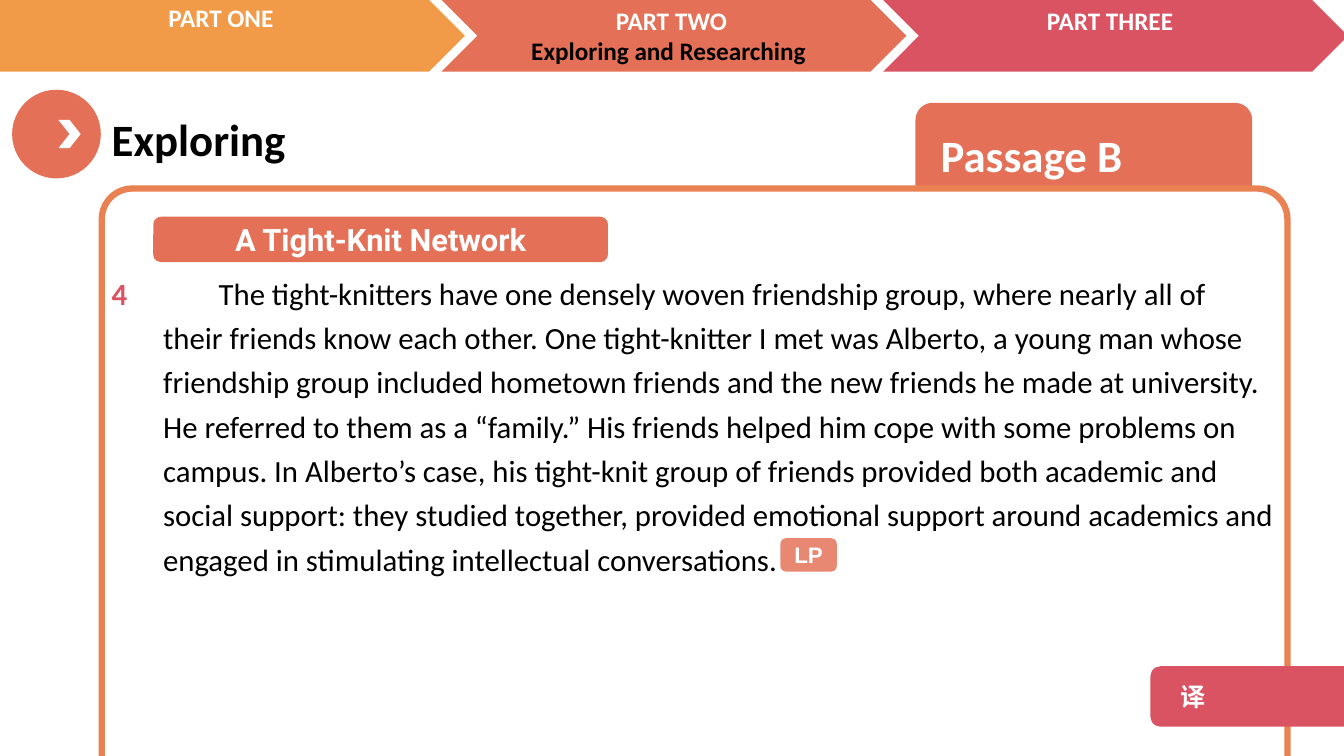
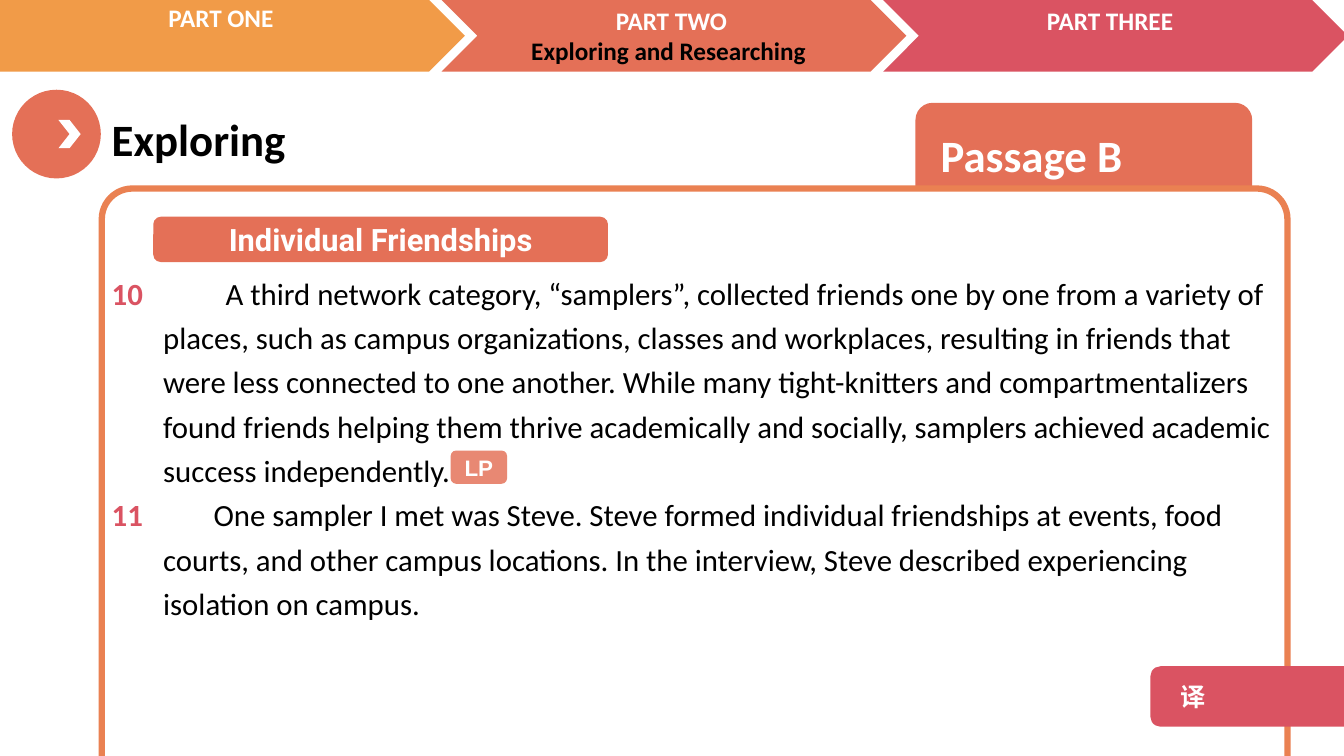
"""Build two reading-passage slides with a shared navigation band and frame."""
from lxml import etree
from pptx import Presentation, util as u
from pptx.dml.color import RGBColor
from pptx.enum import shapes, text
from pptx.oxml.ns import qn

COLORS = {"orange": "F19B48", "coral": "E47057", "rose": "DA5362",
          "frame": "EA8152", "white": "FFFFFF", "black": "000000"}
MSO = shapes.MSO_SHAPE
LEFT, CENTER = text.PP_ALIGN.LEFT, text.PP_ALIGN.CENTER
MIDDLE = text.MSO_ANCHOR.MIDDLE

NAV = {"size": 18, "align": CENTER}
HEADING = {"size": 32}
BODY = {"size": 22, "bold": False, "color": "black", "spacing": 1.2}
NUMBER = {"size": 22, "color": "rose", "spacing": 1.2}
BADGE = {"size": 22, "name": "Roboto", "align": CENTER}
TAG = {"size": 16, "name": "Arial", "align": CENTER}
TRANSLATE = {"size": 18, "name": "Noto Sans CJK SC"}

BODY_TOP, LINE_PITCH = 2.6, 0.44

PASSAGES = [
    {"title": "A Tight-Knit Network", "tag": (7.74, 5.34), "numbers": [("4", 0)],
     "paragraphs": [
         ("The tight-knitters have one densely woven friendship group, where nearly all of", 0.55),
         ("their friends know each other. One tight-knitter I met was Alberto, a young man whose "
          "friendship group included hometown friends and the new friends he made at university. "
          "He referred to them as a “family.” His friends helped him cope with some problems on "
          "campus. In Alberto’s case, his tight-knit group of friends provided both academic and "
          "social support: they studied together, provided emotional support around academics and "
          "engaged in stimulating intellectual conversations.", 0)]},
    {"title": "Individual Friendships", "tag": (4.47, 4.47), "numbers": [("10", 0), ("11", 5)],
     "paragraphs": [
         ("A third network category, “samplers”, collected friends one by one from a variety of "
          "places, such as campus organizations, classes and workplaces, resulting in friends that "
          "were less connected to one another. While many tight-knitters and compartmentalizers "
          "found friends helping them thrive academically and socially, samplers achieved academic "
          "success independently.", 0.62),
         ("One sampler I met was Steve. Steve formed individual friendships at events, food "
          "courts, and other campus locations. In the interview, Steve described experiencing "
          "isolation on campus.", 0.5)]},
]


def add_text(sp, paragraphs, style, inset=0.1):
    """Write (text, first-line indent, colour) paragraphs in one style."""
    fmt = {"name": "Calibri", "bold": True, "color": "white",
           "align": LEFT, "spacing": None, **style}
    tf = sp.text_frame
    tf.word_wrap = True
    tf.margin_left = u.Inches(inset)
    for i, (words, indent, color) in enumerate(paragraphs):
        p = tf.add_paragraph() if i else tf.paragraphs[0]
        p.alignment, p.line_spacing = fmt["align"], fmt["spacing"]
        if indent:
            p._p.get_or_add_pPr().set("indent", str(u.Inches(indent)))
        r = p.add_run()
        r.text = words
        for key in ("name", "bold"):
            setattr(r.font, key, fmt[key])
        r.font.size = u.Pt(fmt["size"])
        r.font.color.rgb = RGBColor.from_string(COLORS[color or fmt["color"]])
        etree.SubElement(r.font._element, qn("a:ea"), typeface=fmt["name"])


def add_shape(s, kind, box, fill):
    """Add a flat filled shape, or a text box when kind is None."""
    at = [u.Inches(v) for v in box]
    if kind is None:
        return s.shapes.add_textbox(*at)
    sp = s.shapes.add_shape(kind, *at)
    sp.shadow.inherit = False
    sp.fill.solid()
    sp.fill.fore_color.rgb = RGBColor.from_string(COLORS[fill])
    sp.line.fill.background()
    sp.text_frame.vertical_anchor = MIDDLE
    return sp


prs = Presentation()
prs.slide_width, prs.slide_height = u.Inches(13.33), u.Inches(7.5)

for passage in PASSAGES:
    s = prs.slides.add_slide(prs.slide_layouts[6])

    for kind, box, fill in [
            (MSO.CHEVRON, (4.38, 0, 4.61, 0.71), "coral"),
            (MSO.CHEVRON, (8.76, 0, 4.61, 0.71), "rose"),
            (MSO.CHEVRON, (-0.61, 0, 5.22, 0.71), "orange"),
            (MSO.OVAL, (0.12, 0.89, 0.88, 0.88), "coral"),
            (MSO.CHEVRON, (0.58, 1.19, 0.22, 0.28), "white")]:
        add_shape(s, kind, box, fill)

    for box, lines, style in [
            ((1.01, 1.06, 4.85, 0.64), [("Exploring", 0, "black")], HEADING),
            ((-0.06, -0.03, 4.56, 0.4), [("PART ONE ", 0, None)], NAV),
            ((4.38, 0, 4.56, 0.71), [("PART TWO", 0, None),
                                     ("Exploring and Researching ", 0, "black")], NAV),
            ((8.73, 0, 4.56, 0.4), [("PART THREE", 0, None)], NAV)]:
        add_text(add_shape(s, None, box, None), lines, style)

    tab = add_shape(s, MSO.ROUNDED_RECTANGLE, (9.08, 1.02, 3.34, 1.02), "coral")
    add_text(tab, [("Passage B", 0, None)], HEADING, inset=0.2)

    frame = add_shape(s, MSO.ROUNDED_RECTANGLE, (1.01, 1.87, 11.76, 6.45), "white")
    frame.adjustments[0] = 0.047
    frame.line.color.rgb = RGBColor.from_string(COLORS["frame"])
    frame.line.width = u.Pt(4.5)

    body = add_shape(s, None, (1.52, BODY_TOP, 11.25, 3.6), None)
    add_text(body, [(words, indent, None) for words, indent in passage["paragraphs"]], BODY)
    for number, line in passage["numbers"]:
        sp = add_shape(s, None, (1.01, BODY_TOP + line * LINE_PITCH, 0.51, 0.5), None)
        add_text(sp, [(number, 0, None)], NUMBER)

    for box, fill, words, style, inset in [
            ((11.41, 6.61, 2.13, 0.6), "rose", "译", TRANSLATE, 0.27),
            ((1.52, 2.15, 4.51, 0.45), "coral", passage["title"], BADGE, 0.1),
            ((*passage["tag"], 0.56, 0.33), "coral", "LP", TAG, 0.1)]:
        sp = add_shape(s, MSO.ROUNDED_RECTANGLE, box, fill)
        add_text(sp, [(words, 0, None)], style, inset)
    tint = sp._element.spPr.find(qn("a:solidFill")).find(qn("a:srgbClr"))
    etree.SubElement(tint, qn("a:alpha"), val="83000")

prs.save("out.pptx")
